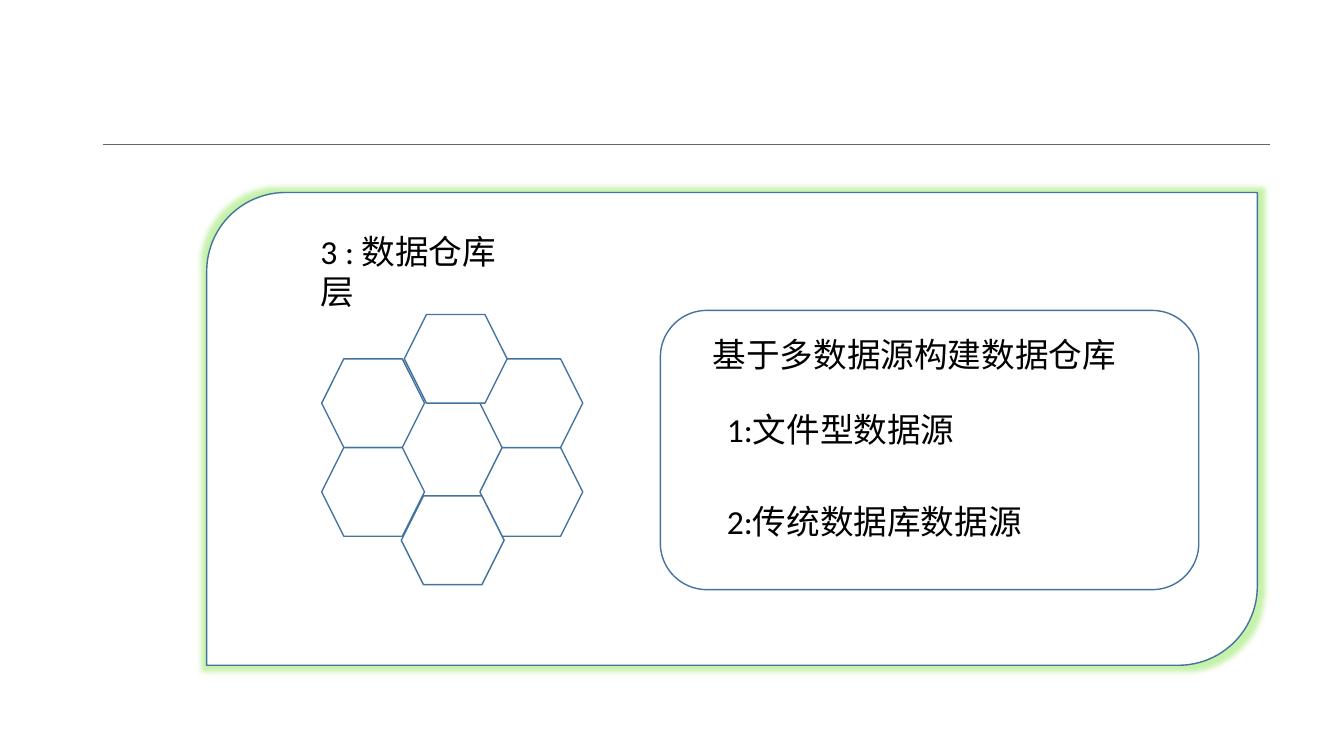
import pptx
import pptx.util
import pptx.dml.color
import pptx.enum.shapes
import pptx.oxml
import pptx.oxml.ns
import lxml.etree

Inches = pptx.util.Inches
Pt = pptx.util.Pt
RGBColor = pptx.dml.color.RGBColor
SHAPES = pptx.enum.shapes.MSO_SHAPE
qn = pptx.oxml.ns.qn

WHITE = RGBColor(0xFF, 0xFF, 0xFF)
BLACK = RGBColor(0, 0, 0)
OUTLINE = RGBColor(0x43, 0x73, 0x9E)
RULE = RGBColor(0x66, 0x66, 0x66)
GLOW = RGBColor(0x70, 0xDD, 0x2A)


def add_text(slide, text, left, top, width, size=24, color=BLACK, font="Calibri"):
    box = slide.shapes.add_textbox(Inches(left), Inches(top), Inches(width), Inches(0.5))
    box.text_frame.word_wrap = True
    run = box.text_frame.paragraphs[0].add_run()
    run.text = text
    run.font.size = Pt(size)
    run.font.name = font
    run.font.color.rgb = color


def add_outlined(slide, kind, left, top, width, height, filled=True):
    shape = slide.shapes.add_shape(
        kind, Inches(left), Inches(top), Inches(width), Inches(height))
    shape.shadow.inherit = False
    if filled:
        shape.fill.solid()
        shape.fill.fore_color.rgb = WHITE
    else:
        shape.fill.background()
    shape.line.color.rgb = OUTLINE
    shape.line.width = Pt(1)
    return shape


def add_glow(shape, color, radius, opacity):
    effects = shape._element.spPr.find(qn("a:effectLst"))
    glow = lxml.etree.SubElement(effects, qn("a:glow"), rad=str(Pt(radius)))
    tint = lxml.etree.SubElement(glow, qn("a:srgbClr"), val=str(color))
    lxml.etree.SubElement(tint, qn("a:alpha"), val=str(opacity * 1000))


def add_header_rule(slide, left, top, width):
    rule = slide.shapes.add_connector(
        pptx.enum.shapes.MSO_CONNECTOR.STRAIGHT,
        Inches(left), Inches(top), Inches(left + width), Inches(top))
    rule.line.color.rgb = RULE
    rule.line.width = Pt(0.5)
    lxml.etree.SubElement(rule._element.spPr, qn("a:effectLst"))


def add_honeycomb(slide, left, top, cell_width=1.02, cell_height=0.88):
    right = 1.57
    upper, lower = cell_height / 2, cell_height * 1.5
    cells = [(0, upper), (right, lower), (right, upper),
             (0.79, 1.8), (0.82, 0), (0, lower)]
    for dx, dy in cells:
        add_outlined(slide, SHAPES.HEXAGON, left + dx, top + dy, cell_width, cell_height)


def add_source_list(slide, left, top, width, height):
    add_outlined(slide, SHAPES.ROUNDED_RECTANGLE, left, top, width, height, filled=False)
    add_text(slide, "基于多数据源构建数据仓库", left + 0.42, top + 0.18, 4.65)
    for row, source in enumerate(["1:文件型数据源", "2:传统数据库数据源"]):
        add_text(slide, source, left + 0.56, top + 0.93 + row * 0.91, 4.22)


def add_warehouse_layer(slide, left, top, width, height):
    panel = add_outlined(slide, SHAPES.ROUND_2_DIAG_RECTANGLE, left, top, width, height)
    add_glow(panel, GLOW, radius=8, opacity=40)
    add_text(slide, "3 : 数据仓库层", left + 1.03, top + 0.33, 2.25)
    add_honeycomb(slide, left + 1.14, top + 1.21)
    add_source_list(slide, left + 4.5, top + 1.17, 5.34, 2.77)


def main():
    deck = pptx.Presentation()
    deck.slide_width = Inches(13.33)
    deck.slide_height = Inches(7.5)
    slide = deck.slides.add_slide(deck.slide_layouts[6])
    add_header_rule(slide, 1.02, 1.43, 11.58)
    add_warehouse_layer(slide, 2.05, 1.91, 10.42, 4.69)
    deck.save("out.pptx")


if __name__ == "__main__":
    main()
